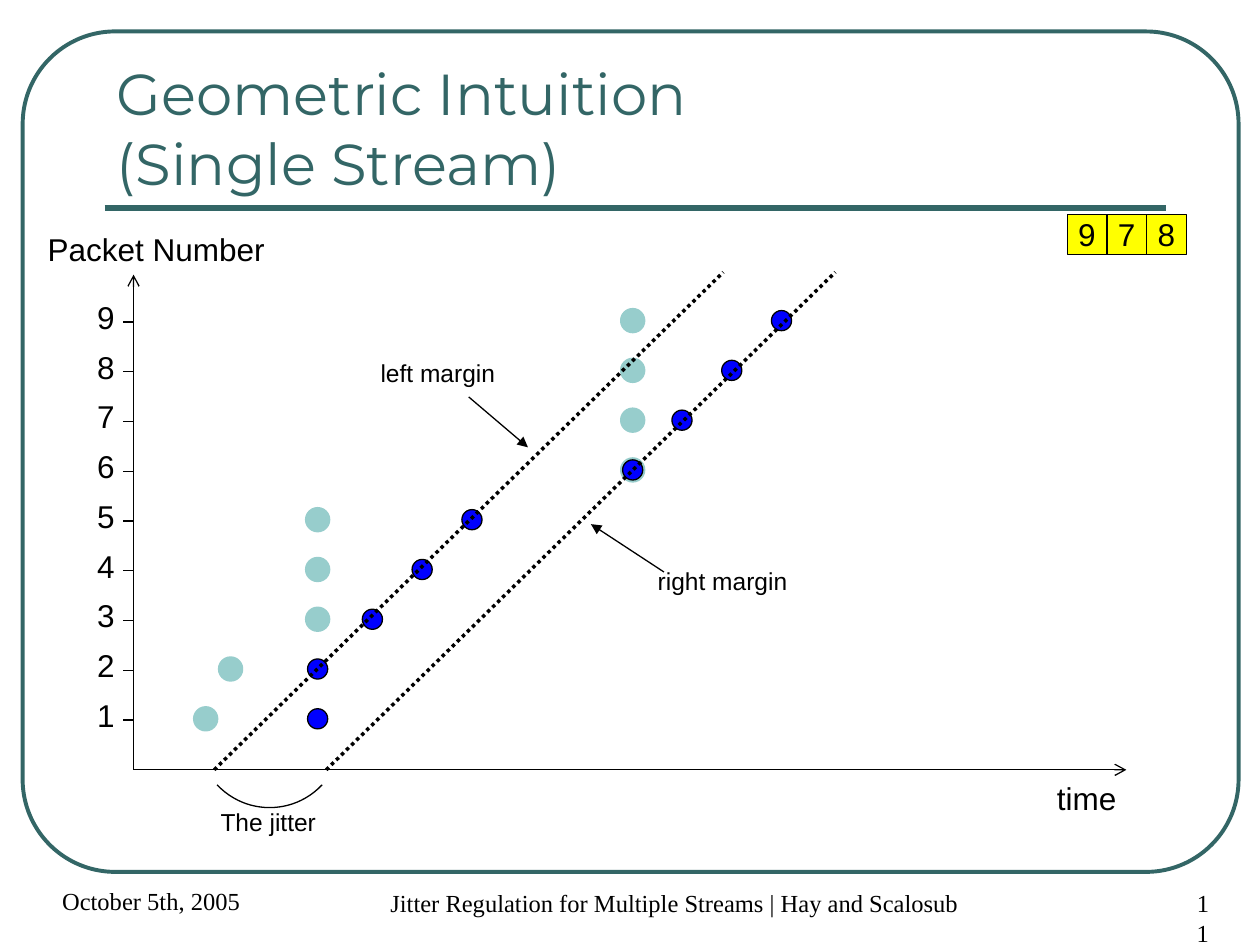
import pptx
import pptx.util
from pptx.dml.color import RGBColor
from pptx.enum.dml import MSO_LINE
from pptx.enum.shapes import MSO_CONNECTOR, MSO_SHAPE
from pptx.enum.text import MSO_ANCHOR, PP_ALIGN
from pptx.oxml.ns import qn
from lxml import etree

# Content
COLORS = {"frame": "336666", "ink": "000000", "packet": "FFFF00",
          "arrival": "97CDCC", "release": "0000FF"}
TITLE = "Geometric Intuition\v(Single Stream)"
BUFFER = ["9", "7", "8"]
# Times of packets 1 to 9, in grid cells
ARRIVALS = [1.45, 1.95, 3.7, 3.7, 3.7, 10.03, 10.03, 10.03, 10.03]
RELEASES = [3.7, 3.7, 4.8, 5.8, 6.8, 10.03, 11.02, 12.02, 13.02]
MARGINS = [(1.62, 11.85), (3.87, 14.1)]  # time at row 0 and at row 10
LABELS = [  # text, left, top, width, height, size
    ("Packet Number", 0.28, 1.78, 1.92, 0.4, 18),
    ("time", 8.29, 6.13, 0.67, 0.4, 18),
    ("The jitter", 1.65, 6.36, 0.96, 0.34, 14),
    ("left margin", 2.92, 2.79, 1.11, 0.34, 14),
    ("right margin", 5.12, 4.44, 1.23, 0.34, 14),
]
POINTERS = [(3.72, 3.15, 4.19, 3.55), (5.27, 4.54, 4.69, 4.16)]
FOOTER = [  # text, left, top, width, height
    ("Jitter Regulation for Multiple Streams | Hay and Scalosub", 2.4, 7, 5.67, 0.5),
    ("11", 9.17, 7, 0.51, 0.5),
    ("October 5th, 2005", 0, 6.98, 2.16, 0.52),
]

# Plot grid: origin and cell size in inches
X0, Y0, CELL = 1.06, 6.11, 0.395
DOT, TICK, BOX = 0.16, 0.08, 0.315

inch = pptx.util.Inches
prs = pptx.Presentation()
prs.slide_width, prs.slide_height = inch(10), inch(7.5)
s = prs.slides.add_slide(prs.slide_layouts[6])


def rgb(name):
    return RGBColor.from_string(COLORS[name])


def px(t):
    return X0 + t * CELL


def py(n):
    return Y0 - n * CELL


def write(sp, text, size, font="Arial", color="ink", align=PP_ALIGN.CENTER,
          anchor=MSO_ANCHOR.TOP, wrap=False, indent=0):
    tf = sp.text_frame
    tf.word_wrap, tf.vertical_anchor = wrap, anchor
    p = tf.paragraphs[0]
    p.text, p.alignment = text, align
    if indent:
        p._p.get_or_add_pPr().set("marL", str(inch(indent)))
    p.font.size, p.font.name = pptx.util.Pt(size), font
    p.font.color.rgb = rgb(color)


def text_box(text, x, y, w, h, size, **style):
    write(s.shapes.add_textbox(inch(x), inch(y), inch(w), inch(h)), text, size, **style)


def shape(kind, x, y, w, h, fill=None, line="ink", width=0.75):
    sp = s.shapes.add_shape(kind, inch(x), inch(y), inch(w), inch(h))
    sp.shadow.inherit = False
    if fill:
        sp.fill.solid()
        sp.fill.fore_color.rgb = rgb(fill)
    else:
        sp.fill.background()
    sp.line.color.rgb, sp.line.width = rgb(line), pptx.util.Pt(width)
    return sp


def line(x1, y1, x2, y2, color="ink", width=0.75, arrow=None, dash=None):
    c = s.shapes.add_connector(MSO_CONNECTOR.STRAIGHT, inch(x1), inch(y1), inch(x2), inch(y2))
    c.line.color.rgb, c.line.width = rgb(color), pptx.util.Pt(width)
    if dash:
        c.line.dash_style = dash
    if arrow:
        etree.SubElement(c.line._get_or_add_ln(), qn("a:tailEnd"), type=arrow)
    etree.SubElement(c._element.spPr, qn("a:effectLst"))


# Frame and title
frame = shape(MSO_SHAPE.ROUNDED_RECTANGLE, 0.18, 0.25, 9.65, 6.67, line="frame", width=2.25)
frame.adjustments[0] = 0.11
line(0.83, 1.65, 9.25, 1.65, "frame", 3)
text_box(TITLE, 0.83, 0.36, 8.42, 1.25, 33, font="Montserrat", color="frame",
         align=PP_ALIGN.LEFT, anchor=MSO_ANCHOR.BOTTOM, wrap=True)

# Axes with numbered ticks
line(X0, Y0, X0, 2.18, arrow="arrow")
line(X0, Y0, 8.94, Y0, arrow="arrow")
for n in range(1, 10):
    line(X0, py(n), X0 - TICK, py(n))
    text_box(str(n), 0.67, py(n) - 0.24, 0.34, 0.4, 18)

# Packets in the buffer
for i, packet in enumerate(BUFFER):
    sp = shape(MSO_SHAPE.RECTANGLE, 8.47 + i * BOX, 1.7, BOX, 0.32, "packet")
    write(sp, packet, 18, anchor=MSO_ANCHOR.MIDDLE)

# Arrivals, then releases
for times, fill, edge, width in [(ARRIVALS, "arrival", "arrival", 3),
                                 (RELEASES, "release", "ink", 0.75)]:
    for n, t in enumerate(times, 1):
        shape(MSO_SHAPE.OVAL, px(t) - DOT / 2, py(n) - DOT / 2 - 0.01, DOT, DOT,
              fill, edge, width)

# Margin lines and their pointers
for start, end in MARGINS:
    line(px(start), Y0, px(end), py(10), width=2, dash=MSO_LINE.ROUND_DOT)
for ends in POINTERS:
    line(*ends, arrow="triangle")

# Jitter arc: angles are in 60000ths of a degree, scaled by 100000
arc = shape(MSO_SHAPE.ARC, 1.57, 5.27, 1.14, 1.14)
arc.adjustments[0], arc.adjustments[1] = 43 * 0.6, 137 * 0.6

# Labels and footer
for text, x, y, w, h, size in LABELS:
    text_box(text, x, y, w, h, size)
for text, x, y, w, h in FOOTER:
    text_box(text, x, y, w, h, 14, font="Times New Roman", wrap=True, indent=0.24)

prs.save("out.pptx")
